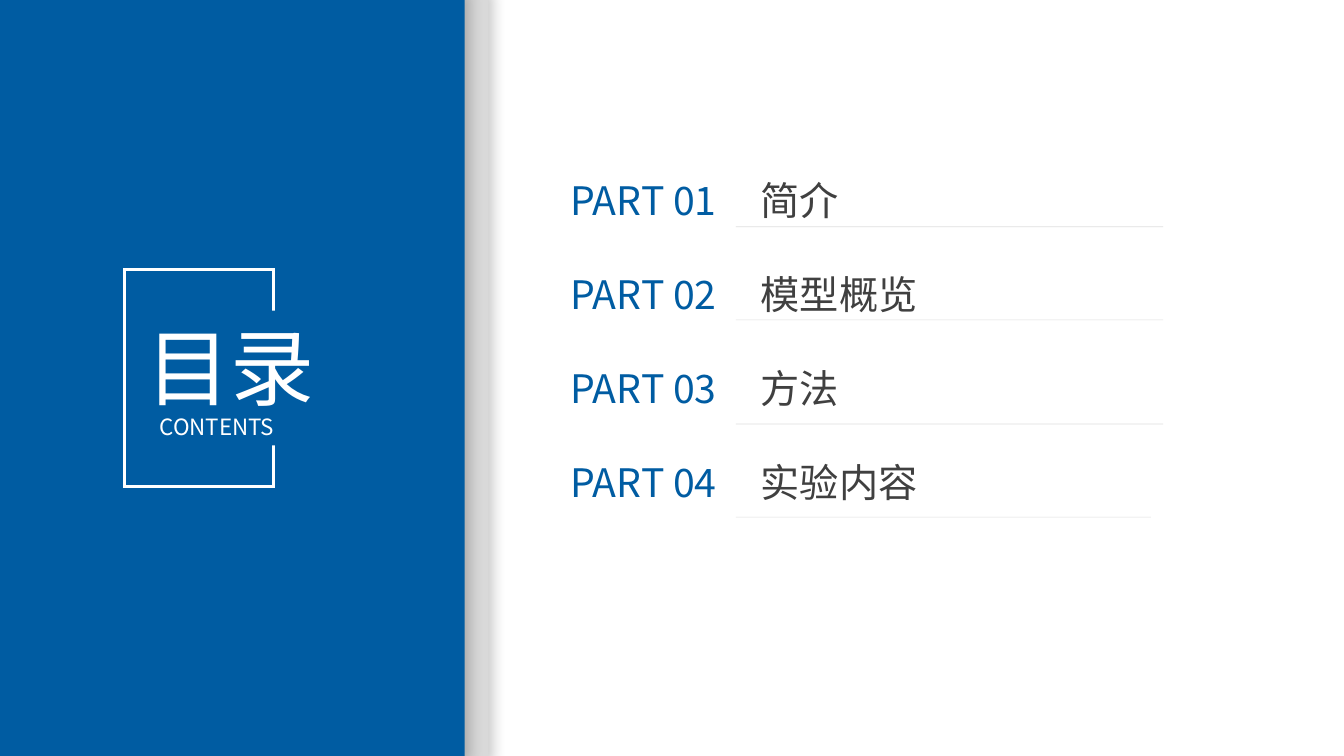
from lxml.etree import SubElement
from pptx import Presentation
from pptx.dml.color import RGBColor
from pptx.enum.shapes import MSO_CONNECTOR, MSO_SHAPE
from pptx.enum.text import MSO_ANCHOR, PP_ALIGN
from pptx.oxml.ns import qn
from pptx.util import Pt

FONT = "Noto Sans CJK SC"
COLORS = {"blue": "005CA2", "grey": "D9D9D9", "white": "FFFFFF",
          "ink": "404040", "rule": "BFBFBF", "shadow": "000000"}

PARTS = [("PART 01", "简介"), ("PART 02", "模型概览"),
         ("PART 03", "方法"), ("PART 04", "实验内容")]
PANELS = [("grey", 32.8, 316.1), ("blue", 0, 331.9)]  # colour, left, width
FRAME = (89.2, 192.4, 106.3, 155)
HEADINGS = [("目录", 60, (97.6, 221.8, 145.4, 79.9)),
            ("CONTENTS", 16, (106.9, 291.6, 121, 26.6))]
PART_BOX = (400.3, 122.4, 473.8, 278.6)
PART_SIZE, PART_GAP, TITLE_TAB = 28, 33.5, 136
RULE_LEFT = 525.6
RULES = [(162, 830.9), (228.5, 830.9), (302.8, 830.9), (369.4, 822)]  # y, right
SLIDE_WIDTH, SLIDE_HEIGHT = 960, 540


def rgb(name):
    return RGBColor.from_string(COLORS[name])


def points(values):
    return [Pt(value) for value in values]


def add_alpha(color_element, percent):
    SubElement(color_element, qn("a:alpha"), val=str(percent * 1000))


def add_block(shapes, kind, box, color):
    block = shapes.add_shape(kind, *points(box))
    block.shadow.inherit = False
    block.fill.solid()
    block.fill.fore_color.rgb = rgb(color)
    block.line.fill.background()
    return block


def style_run(run, size, color):
    """Set the font, with the East Asian typeface as well."""
    run.font.name = FONT
    run.font.size = Pt(size)
    run.font.color.rgb = rgb(color)
    SubElement(run.font._element, qn("a:ea"), typeface=FONT)


def add_panel(shapes, color, left, width):
    panel = add_block(shapes, MSO_SHAPE.ROUNDED_RECTANGLE,
                      (left, 0, width, SLIDE_HEIGHT), color)
    panel.adjustments[0] = 0
    effects = panel._element.spPr.find(qn("a:effectLst"))
    glow = SubElement(effects, qn("a:outerShdw"), blurRad=str(Pt(10)),
                      dist="0", dir="0", sx="102000", sy="102000",
                      algn="ctr", rotWithShape="0")
    add_alpha(SubElement(glow, qn("a:srgbClr"), val=COLORS["shadow"]), 22)


def add_part_list(shapes):
    frame = shapes.add_textbox(*points(PART_BOX)).text_frame
    frame.word_wrap = True
    for index, (number, title) in enumerate(PARTS):
        paragraph = frame.add_paragraph() if index else frame.paragraphs[0]
        if index:
            paragraph.space_before = Pt(PART_GAP)
        tabs = SubElement(paragraph._p.get_or_add_pPr(), qn("a:tabLst"))
        SubElement(tabs, qn("a:tab"), pos=str(Pt(TITLE_TAB)), algn="l")
        for text, color in ((number + "\t", "blue"), (title, "ink")):
            run = paragraph.add_run()
            run.text = text
            style_run(run, PART_SIZE, color)


def add_rule(shapes, y, right):
    rule = shapes.add_connector(MSO_CONNECTOR.STRAIGHT,
                                *points((RULE_LEFT, y, right, y)))
    rule.line.width = Pt(0.5)
    rule.line.color.rgb = rgb("rule")
    properties = rule._element.spPr
    add_alpha(properties.find(".//" + qn("a:srgbClr")), 50)
    SubElement(properties, qn("a:effectLst"))


def add_frame(shapes):
    outline = add_block(shapes, MSO_SHAPE.RECTANGLE, FRAME, "blue").line
    outline.color.rgb = rgb("white")
    outline.width = Pt(2.25)
    SubElement(outline._ln, qn("a:miter"), lim="800000")


def add_heading(shapes, text, size, box):
    heading = add_block(shapes, MSO_SHAPE.RECTANGLE, box, "blue")
    frame = heading.text_frame
    frame.word_wrap = True
    frame.vertical_anchor = MSO_ANCHOR.TOP
    frame.text = text
    paragraph = frame.paragraphs[0]
    paragraph.alignment = PP_ALIGN.JUSTIFY
    style_run(paragraph.runs[0], size, "white")


def main():
    deck = Presentation()
    deck.slide_width, deck.slide_height = Pt(SLIDE_WIDTH), Pt(SLIDE_HEIGHT)
    shapes = deck.slides.add_slide(deck.slide_layouts[6]).shapes
    for panel in PANELS:
        add_panel(shapes, *panel)
    add_part_list(shapes)
    for rule in RULES:
        add_rule(shapes, *rule)
    badge = shapes.add_group_shape().shapes
    add_frame(badge)
    for heading in HEADINGS:
        add_heading(badge, *heading)
    deck.save("out.pptx")


if __name__ == "__main__":
    main()
